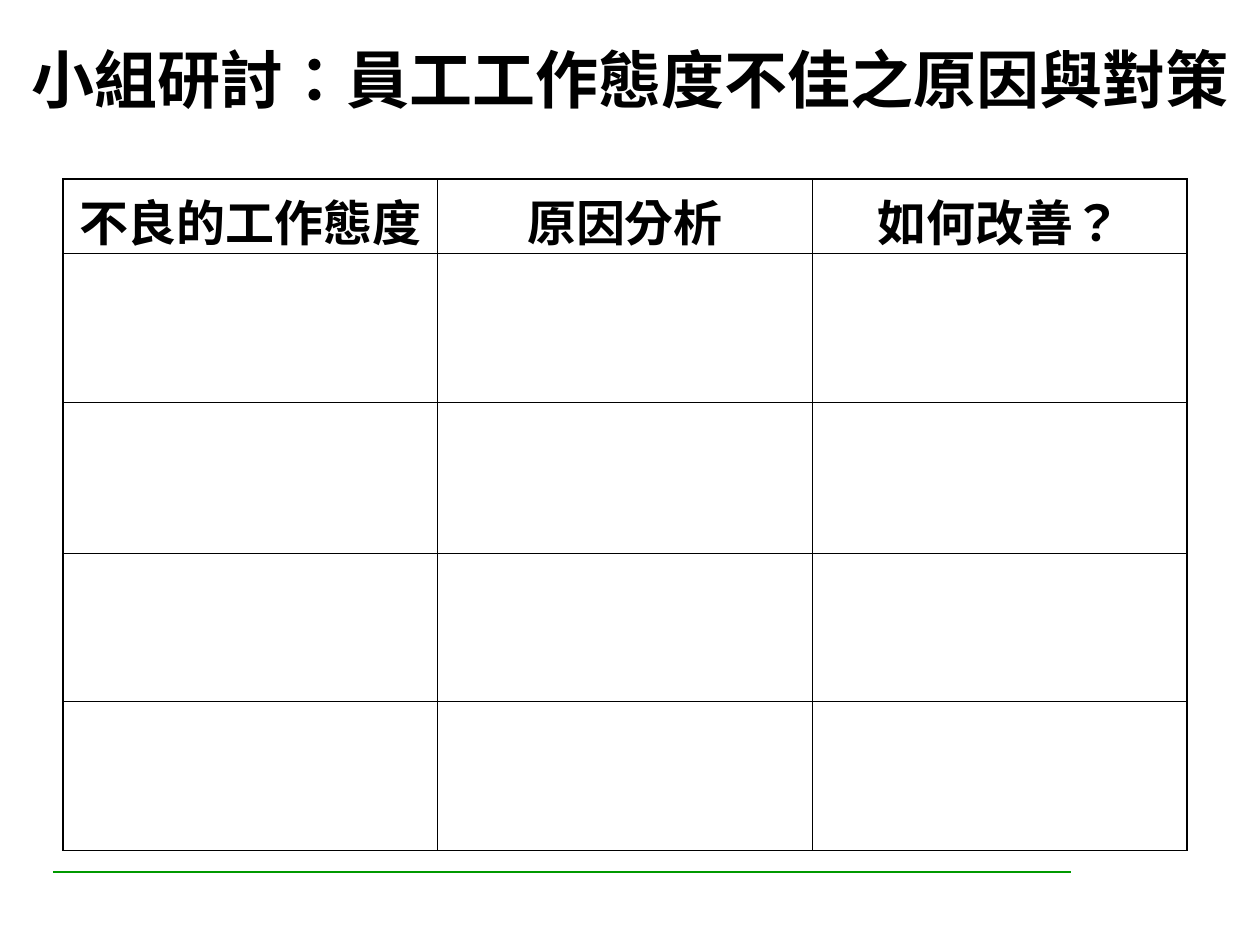
from pptx import Presentation
from pptx.dml.color import RGBColor
from pptx.enum.shapes import MSO_CONNECTOR
from pptx.enum.text import MSO_ANCHOR, PP_ALIGN
from pptx.oxml.ns import qn
from pptx.util import Inches, Pt
from lxml.etree import SubElement

COLORS = {"ink": "000000", "rule": "009900", "paper": "FFFFFF"}
CJK_FONT = "Noto Sans CJK SC"
TITLE = "小組研討：員工工作態度不佳之原因與對策"
HEADINGS = ["不良的工作態度", "原因分析", "如何改善？"]
ROW_HEIGHTS = [0.59, 1.18, 1.2, 1.18, 1.18]
OUTER, INNER = Pt(1.08), Pt(0.45)


def write_centred(frame, wording, size, latin):
    """Write one bold centred line with Latin and East Asian fonts."""
    paragraph = frame.paragraphs[0]
    paragraph.alignment = PP_ALIGN.CENTER
    run = paragraph.add_run()
    run.text = wording
    run.font.size = Pt(size)
    run.font.bold = True
    run.font.name = latin
    run.font.color.rgb = RGBColor.from_string(COLORS["ink"])
    properties = run._r.get_or_add_rPr()
    properties.set("lang", "zh-TW")
    SubElement(properties, qn("a:ea"), typeface=CJK_FONT)


def add_footer_rule(slide, left, top, width):
    """Draw the green rule near the foot of the slide."""
    rule = slide.shapes.add_connector(
        MSO_CONNECTOR.STRAIGHT, left, top, left + width, top)
    rule.line.color.rgb = RGBColor.from_string(COLORS["rule"])
    rule.line.width = Pt(1.5)
    SubElement(rule._element.spPr, qn("a:effectLst"))


def add_title(slide, left, top, width, height):
    """Place the discussion topic in its box."""
    frame = slide.shapes.add_textbox(left, top, width, height).text_frame
    frame.word_wrap = True
    frame.vertical_anchor = MSO_ANCHOR.MIDDLE
    write_centred(frame, TITLE, 36, CJK_FONT)


def set_borders(cell, widths):
    """Outline a cell with a line width for each side."""
    properties = cell._tc.get_or_add_tcPr()
    for position, (side, width) in enumerate(widths.items()):
        border = SubElement(properties, qn(f"a:ln{side}"), w=str(width))
        fill = SubElement(border, qn("a:solidFill"))
        SubElement(fill, qn("a:srgbClr"), val=COLORS["ink"])
        properties.insert(position, border)


def add_worksheet(slide, left, top, width, height):
    """Build the table of headings above empty answer rows."""
    last_row, last_column = len(ROW_HEIGHTS) - 1, len(HEADINGS) - 1
    table = slide.shapes.add_table(
        last_row + 1, last_column + 1, left, top, width, height).table
    table.first_row = table.horz_banding = False
    for row, row_height in zip(table.rows, ROW_HEIGHTS):
        row.height = Inches(row_height)
    for row_index, row in enumerate(table.rows):
        for column_index, cell in enumerate(row.cells):
            cell.fill.background()
            cell.vertical_anchor = MSO_ANCHOR.MIDDLE
            cell.margin_left = cell.margin_right = Inches(0.1)
            set_borders(cell, {
                "L": OUTER if column_index == 0 else INNER,
                "R": OUTER if column_index == last_column else INNER,
                "T": OUTER if row_index == 0 else INNER,
                "B": OUTER if row_index == last_row else INNER,
            })
    for cell, heading in zip(table.rows[0].cells, HEADINGS):
        write_centred(cell.text_frame, heading, 28, "Times New Roman")


def main():
    """Build and save the discussion slide."""
    deck = Presentation()
    deck.slide_width, deck.slide_height = Inches(10), Inches(7.5)
    slide = deck.slides.add_slide(deck.slide_layouts[6])
    slide.background.fill.solid()
    slide.background.fill.fore_color.rgb = RGBColor.from_string(COLORS["paper"])
    add_footer_rule(slide, Inches(0.42), Inches(6.92), Inches(8.08))
    add_title(slide, Inches(0.03), Inches(0.36), Inches(9.94), Inches(0.53))
    add_worksheet(slide, Inches(0.5), Inches(1.42), Inches(8.92),
                  Inches(sum(ROW_HEIGHTS)))
    deck.save("out.pptx")


if __name__ == "__main__":
    main()
